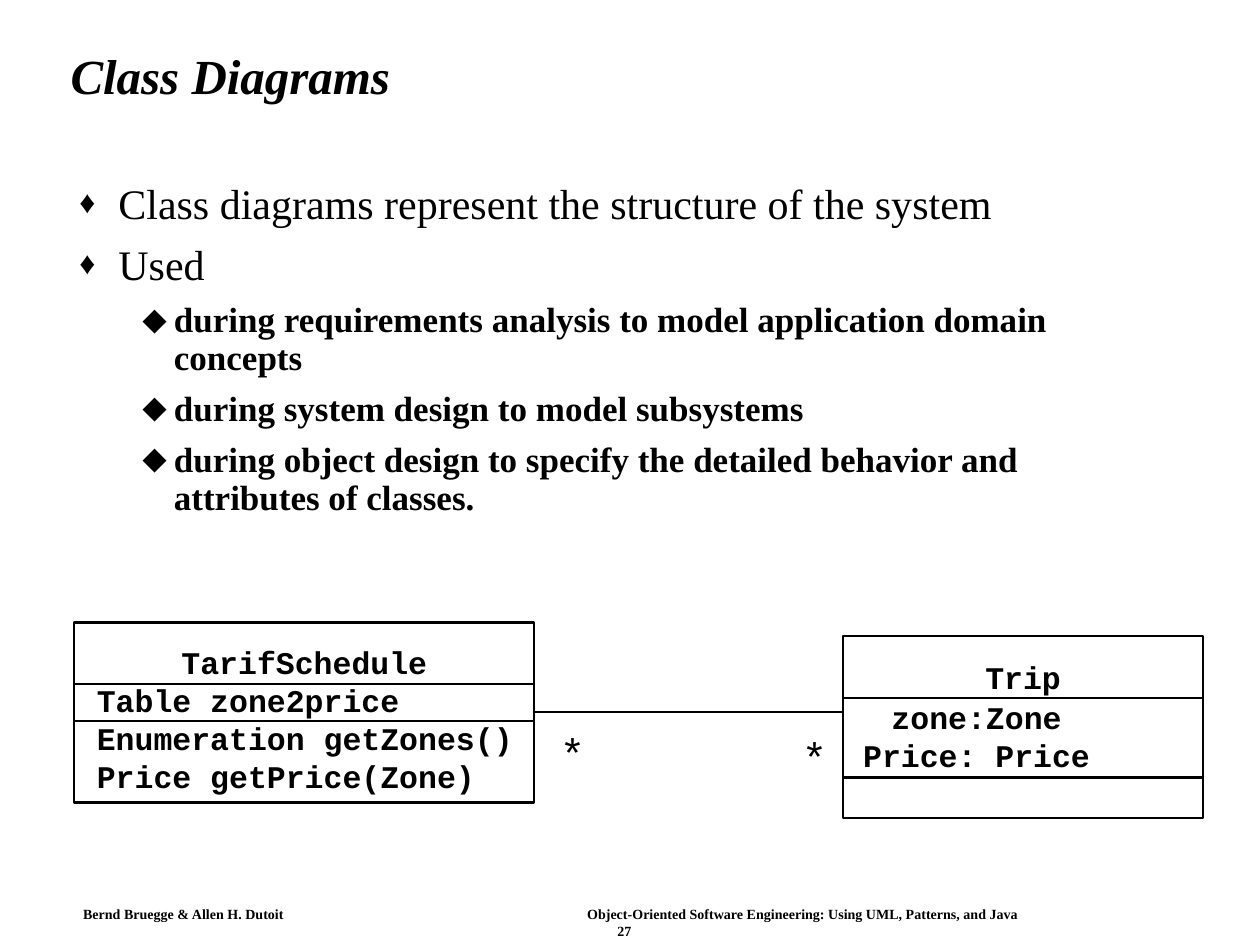
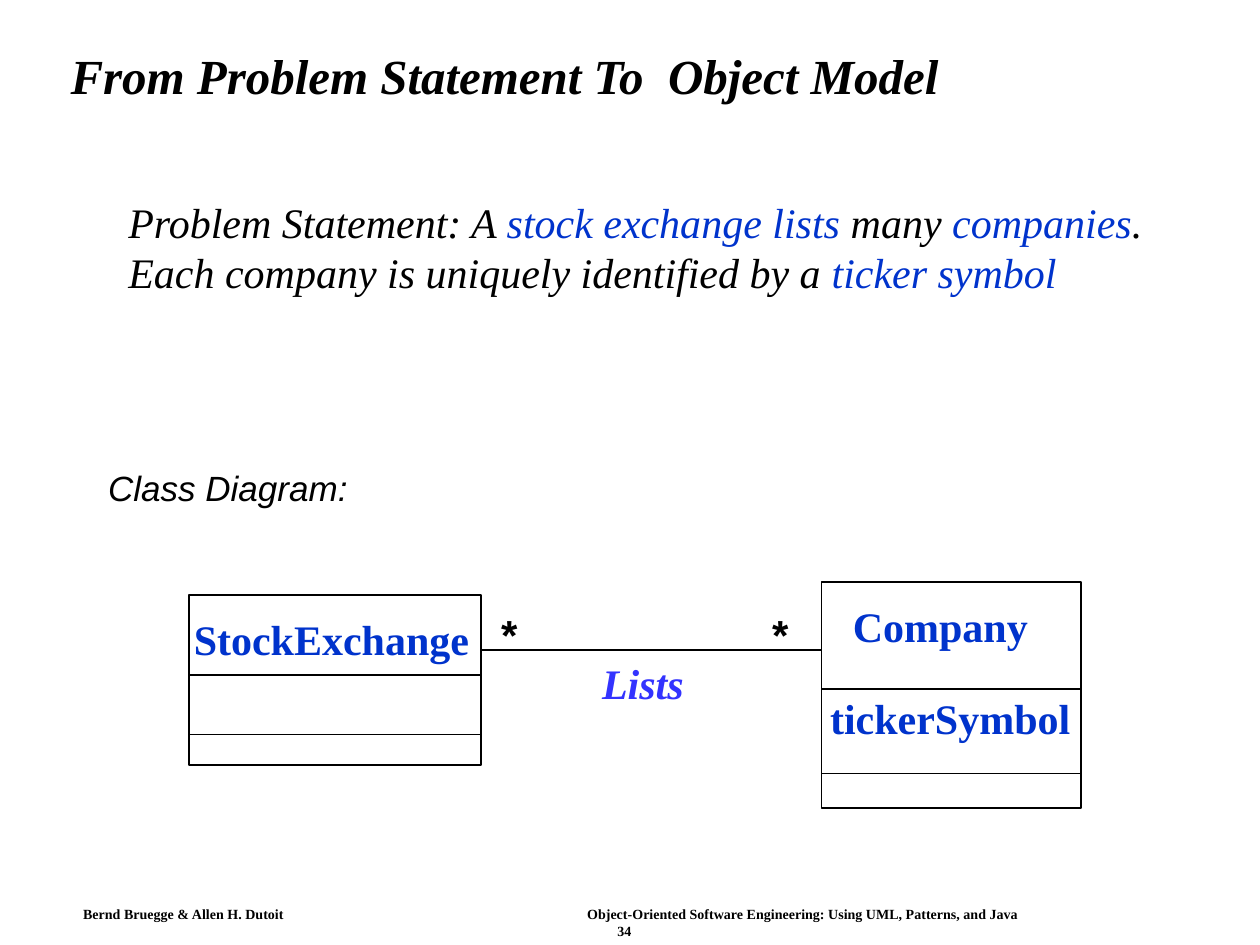
from dataclasses import dataclass

from pptx import Presentation
from pptx.dml.color import RGBColor
from pptx.enum.shapes import MSO_CONNECTOR, MSO_SHAPE
from pptx.enum.text import MSO_ANCHOR, MSO_AUTO_SIZE, PP_ALIGN
from pptx.oxml.ns import qn
from pptx.util import Inches, Pt

RECT = MSO_SHAPE.RECTANGLE
STRAIGHT = MSO_CONNECTOR.STRAIGHT
TOP, MIDDLE = MSO_ANCHOR.TOP, MSO_ANCHOR.MIDDLE
LEFT, CENTER = PP_ALIGN.LEFT, PP_ALIGN.CENTER
FIXED, GROW = MSO_AUTO_SIZE.NONE, MSO_AUTO_SIZE.SHAPE_TO_FIT_TEXT
TITLE_AND_CONTENT, TITLE_ONLY = 1, 5


@dataclass(frozen=True)
class Theme:
    black: RGBColor = RGBColor(0x00, 0x00, 0x00)
    white: RGBColor = RGBColor(0xFF, 0xFF, 0xFF)
    blue: RGBColor = RGBColor(0x00, 0x33, 0xCC)
    violet: RGBColor = RGBColor(0x33, 0x33, 0xFF)
    serif: str = "Times New Roman"
    sans: str = "Arial"
    mono: str = "Courier New"
    title: int = 28
    large: int = 24
    medium: int = 20
    code: int = 18
    footer: int = 8


AUTHORS = "Bernd Bruegge & Allen H. Dutoit"
BOOK = "Object-Oriented Software Engineering: Using UML, Patterns, and Java"
# Bullet levels: character, size percent, left margin, hanging indent, space before
BULLETS = (("♦", 75, 0.31, 0.31, 9), ("⬥", 100, 0.75, 0.25, 7.5))


class Deck:
    def __init__(self, theme):
        self.t = theme
        self.prs = Presentation()
        self.prs.slide_width, self.prs.slide_height = Inches(10), Inches(7.5)
        self.s = None

    def slide(self, layout, title, number):
        self.s = self.prs.slides.add_slide(self.prs.slide_layouts[layout])
        fill = self.s.background.fill
        fill.solid()
        fill.fore_color.rgb = self.t.white
        tf = self.place(self.s.shapes.title, 0.46, 0.24, 8.92, 0.77, MIDDLE)
        tf.text = title
        p = tf.paragraphs[0]
        p.alignment, p.line_spacing = LEFT, 0.9
        self.style(p.runs[0], self.t.title, bold=True, italic=True)
        self.footer(number)

    def place(self, sp, x, y, w, h, anchor=TOP):
        sp.left, sp.top, sp.width, sp.height = map(Inches, (x, y, w, h))
        tf = sp.text_frame
        tf.auto_size, tf.word_wrap, tf.vertical_anchor = FIXED, True, anchor
        return tf

    def style(self, r, size, font=None, color=None, bold=False, italic=False):
        f = r.font
        f.name, f.size = font or self.t.serif, Pt(size)
        f.bold, f.italic = bold, italic
        f.color.rgb = color or self.t.black

    def text(self, x, y, w, h, text, size, align=LEFT, anchor=TOP,
             wrap=False, inset=True, **look):
        tf = self.s.shapes.add_textbox(*map(Inches, (x, y, w, h))).text_frame
        tf.word_wrap, tf.auto_size, tf.vertical_anchor = wrap, GROW, anchor
        if not inset:
            tf.margin_left = tf.margin_right = tf.margin_top = tf.margin_bottom = 0
        tf.text = text
        for p in tf.paragraphs:
            p.alignment = align
            for r in p.runs:
                self.style(r, size, **look)
        return tf

    def footer(self, number):
        tf = self.text(0.58, 7.15, 8.75, 0.32, f"{AUTHORS}\t{BOOK}\n{number}",
                       self.t.footer, wrap=True, bold=True)
        tf.margin_left = tf.margin_right = Inches(0.08)
        tf.margin_top = tf.margin_bottom = Inches(0.04)
        credit, page = tf.paragraphs
        tabs = credit._p.get_or_add_pPr().makeelement(qn("a:tabLst"), {})
        tabs.append(tabs.makeelement(qn("a:tab"), {"pos": str(Inches(4)), "algn": "l"}))
        credit._p.pPr.append(tabs)
        page.alignment = CENTER

    def bullets(self, x, y, w, h, items):
        """Fill the body placeholder with (level, text) items."""
        tf = self.place(self.s.placeholders[1], x, y, w, h)
        tf.text = "\n".join(text for _, text in items)
        for i, (p, (level, _)) in enumerate(zip(tf.paragraphs, items)):
            char, percent, margin, hanging, before = BULLETS[level]
            p.level = level
            pPr = p._p.get_or_add_pPr()
            pPr.set("marL", str(Inches(margin)))
            pPr.set("indent", str(-Inches(hanging)))
            for tag, attrs in (("a:buSzPct", {"val": str(percent * 1000)}),
                               ("a:buChar", {"char": char})):
                pPr.append(pPr.makeelement(qn(tag), attrs))
            p.line_spacing, p.space_before = 0.9, Pt(before if i else 0)
            size = self.t.medium if level else self.t.large
            self.style(p.runs[0], size, bold=level > 0)

    def rect(self, x, y, w, h, weight):
        sp = self.s.shapes.add_shape(RECT, *map(Inches, (x, y, w, h)))
        sp.shadow.inherit = False
        sp.fill.background()
        sp.line.color.rgb, sp.line.width = self.t.black, Pt(weight)

    def line(self, x1, x2, y, weight=1):
        c = self.s.shapes.add_connector(STRAIGHT, *map(Inches, (x1, y, x2, y)))
        c.line.color.rgb, c.line.width = self.t.black, Pt(weight)
        spPr = c._element.spPr
        spPr.append(spPr.makeelement(qn("a:effectLst"), {}))

    def stacked_class(self, x, y, w, heights):
        """Draw a class as one rectangle for each compartment."""
        for h in heights:
            self.rect(x, y, w, h, 1.25)
            y += h

    def ruled_class(self, x, y, w, h, rules):
        """Draw a class as one rectangle divided by lines at the given heights."""
        self.rect(x, y, w, h, 1)
        for rule in rules:
            self.line(x, x + w, rule)


def class_diagrams(d):
    t = d.t
    d.slide(TITLE_AND_CONTENT, "Class Diagrams", 27)
    d.bullets(0.53, 1.4, 8.75, 3.09, [
        (0, "Class diagrams represent the structure of the system"),
        (0, "Used"),
        (1, "during requirements analysis to model application domain concepts"),
        (1, "during system design to model subsystems"),
        (1, "during object design to specify the detailed behavior and attributes of classes."),
    ])
    code = dict(size=t.code, font=t.mono, bold=True)
    label = dict(align=CENTER, inset=False, **code)
    d.text(0.67, 5.36, 3.62, 1,
           "Table zone2price\nEnumeration getZones()\nPrice getPrice(Zone)",
           wrap=True, **code)
    d.stacked_class(0.59, 4.94, 3.65, (0.49, 0.29, 0.65))
    d.text(1.44, 5.1, 1.95, 0.3, "TarifSchedule", **label)
    d.line(4.24, 6.69, 5.65, 0.75)
    for x, y in ((4.38, 5.71), (6.3, 5.74)):
        d.text(x, y, 0.33, 0.5, "*", t.large, CENTER, MIDDLE, font=t.sans)
    d.stacked_class(6.69, 5.05, 2.86, (0.49, 0.63, 0.32))
    d.text(7.82, 5.22, 0.6, 0.3, "Trip", **label)
    d.text(6.85, 5.54, 1.8, 0.6, "zone:Zone\nPrice: Price", **label)


def object_model(d):
    t = d.t
    d.slide(TITLE_ONLY, "From Problem Statement To  Object Model", 34)
    d.text(0.76, 3.65, 2.1, 0.43, "Class Diagram:", t.medium, font=t.sans, italic=True)
    d.ruled_class(1.5, 4.72, 2.32, 1.35, (5.36, 5.83))
    d.ruled_class(6.52, 4.62, 2.06, 1.79, (5.47, 6.14))
    for x, y, w, name in ((1.44, 4.82, 2.44, "StockExchange"),
                          (6.67, 4.72, 1.59, "Company"),
                          (6.49, 5.45, 2.14, "tickerSymbol")):
        d.text(x, y, w, 0.5, name, t.large, color=t.blue, bold=True)
    d.line(3.82, 6.52, 5.16)
    d.text(4.68, 5.17, 0.93, 0.5, "Lists", t.large, color=t.violet, bold=True, italic=True)
    for x in (3.88, 6.03):
        d.text(x, 4.78, 0.33, 0.5, "*", t.large, font=t.sans, bold=True)

    statement = d.text(0.92, 1.51, 8.78, 0.9, "", t.large, wrap=True)
    p = statement.paragraphs[0]
    for text, color in (("Problem Statement: A ", t.black),
                        ("stock exchange lists", t.blue),
                        (" many ", t.black),
                        ("companies", t.blue),
                        (". Each company is uniquely identified by a ", t.black),
                        ("ticker symbol", t.blue)):
        r = p.add_run()
        r.text = text
        d.style(r, t.large, color=color, italic=True)


def main():
    d = Deck(Theme())
    class_diagrams(d)
    object_model(d)
    d.prs.save("out.pptx")


if __name__ == "__main__":
    main()
